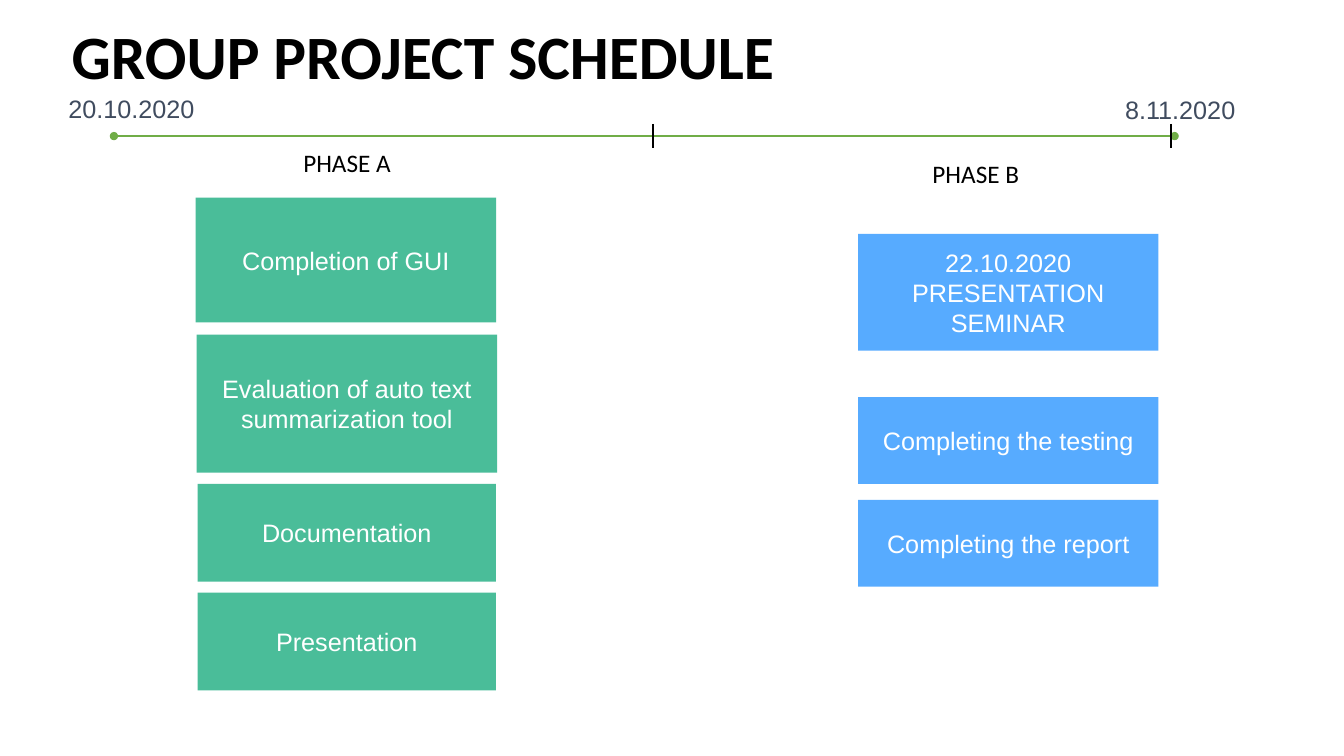
from dataclasses import dataclass

from lxml import etree
from pptx import Presentation
from pptx.dml.color import RGBColor
from pptx.enum import shapes, text
from pptx.oxml import ns
from pptx.util import Inches, Pt

GREEN, BLUE = "2BB288", "3A9DFF"
WHITE, BLACK, SLATE, LINE_GREEN = "FFFFFF", "000000", "404C5F", "70AD47"
TIMELINE_Y = 1.35
TICK_HALF = 0.12
PHASE_SIZE = (1.89, 0.4)


@dataclass
class Task:
    lines: list[str]
    left: float
    top: float
    width: float
    height: float
    color: str


@dataclass
class Label:
    words: str
    left: float
    top: float
    width: float
    height: float
    font: str
    color: str
    wrap: bool


TASKS = [
    Task(["Completion of GUI"], 1.94, 1.96, 2.98, 1.24, GREEN),
    Task(["Evaluation of auto text summarization tool"], 1.95, 3.32, 2.98, 1.37, GREEN),
    Task(["Documentation"], 1.96, 4.8, 2.96, 0.97, GREEN),
    Task(["Presentation"], 1.96, 5.88, 2.96, 0.97, GREEN),
    Task(["22.10.2020", "PRESENTATION SEMINAR"], 8.51, 2.32, 2.98, 1.16, BLUE),
    Task(["Completing the testing"], 8.51, 3.94, 2.98, 0.86, BLUE),
    Task(["Completing the report"], 8.51, 4.96, 2.98, 0.86, BLUE),
]
LABELS = [
    Label("20.10.2020", 0.58, 0.88, 1.46, 0.4, "Arial", SLATE, False),
    Label("8.11.2020", 11.06, 0.89, 1.31, 0.4, "Arial", SLATE, False),
    Label("PHASE A", 2.91, 1.41, *PHASE_SIZE, "Calibri", BLACK, True),
    Label("PHASE B", 9.15, 1.52, *PHASE_SIZE, "Calibri", BLACK, True),
]


def rgb(color: str) -> RGBColor:
    return RGBColor.from_string(color)


def add_run(paragraph, words: str, font: str, color: str, size: float = 18, bold: bool = False) -> None:
    run = paragraph.add_run()
    run.text = words
    run.font.name = font
    run.font.size = Pt(size)
    run.font.bold = bold
    run.font.color.rgb = rgb(color)


def add_title(slide, words: str) -> None:
    title = slide.shapes.title
    title.left, title.top = Inches(0.61), Inches(0.09)
    title.width, title.height = Inches(11.67), Inches(1)
    frame = title.text_frame
    frame.auto_size = text.MSO_AUTO_SIZE.NONE
    frame.vertical_anchor = text.MSO_ANCHOR.MIDDLE
    paragraph = frame.paragraphs[0]
    paragraph.alignment = text.PP_ALIGN.LEFT
    paragraph.line_spacing = 0.9
    add_run(paragraph, words, "Calibri", BLACK, 44, True)


def add_task(slide, task: Task) -> None:
    shape = slide.shapes.add_shape(
        shapes.MSO_SHAPE.RECTANGLE,
        Inches(task.left), Inches(task.top), Inches(task.width), Inches(task.height))
    shape.shadow.inherit = False
    shape.line.fill.background()
    shape.fill.solid()
    shape.fill.fore_color.rgb = rgb(task.color)
    color_element = shape.fill._xPr.find(".//" + ns.qn("a:srgbClr"))
    etree.SubElement(color_element, ns.qn("a:alpha"), val="85000")
    frame = shape.text_frame
    frame.word_wrap = True
    frame.vertical_anchor = text.MSO_ANCHOR.MIDDLE
    for index, line in enumerate(task.lines):
        paragraph = frame.add_paragraph() if index else frame.paragraphs[0]
        paragraph.alignment = text.PP_ALIGN.CENTER
        add_run(paragraph, line, "Arial", WHITE)


def add_label(slide, label: Label) -> None:
    box = slide.shapes.add_textbox(
        Inches(label.left), Inches(label.top), Inches(label.width), Inches(label.height))
    frame = box.text_frame
    frame.word_wrap = label.wrap
    frame.auto_size = text.MSO_AUTO_SIZE.SHAPE_TO_FIT_TEXT
    add_run(frame.paragraphs[0], label.words, label.font, label.color)


def add_line(slide, start: tuple[float, float], end: tuple[float, float],
             color: str, oval_ends: bool = False) -> None:
    connector = slide.shapes.add_connector(
        shapes.MSO_CONNECTOR.STRAIGHT, *map(Inches, start + end))
    connector.line.color.rgb = rgb(color)
    connector.line.width = Pt(1.5)
    properties = connector._element.spPr
    if oval_ends:
        outline = properties.find(ns.qn("a:ln"))
        for tag in ("a:headEnd", "a:tailEnd"):
            etree.SubElement(outline, ns.qn(tag), type="oval")
    etree.SubElement(properties, ns.qn("a:effectLst"))


def main() -> None:
    presentation = Presentation()
    presentation.slide_width = Inches(13.33)
    presentation.slide_height = Inches(7.5)
    slide = presentation.slides.add_slide(presentation.slide_layouts.get_by_name("Title Only"))
    add_title(slide, "GROUP PROJECT SCHEDULE")
    add_line(slide, (1.13, TIMELINE_Y), (11.65, TIMELINE_Y), LINE_GREEN, oval_ends=True)
    for tick_x in (6.48, 11.61):
        add_line(slide, (tick_x, TIMELINE_Y - TICK_HALF), (tick_x, TIMELINE_Y + TICK_HALF), BLACK)
    for label in LABELS:
        add_label(slide, label)
    for task in TASKS:
        add_task(slide, task)
    presentation.save("out.pptx")


if __name__ == "__main__":
    main()
